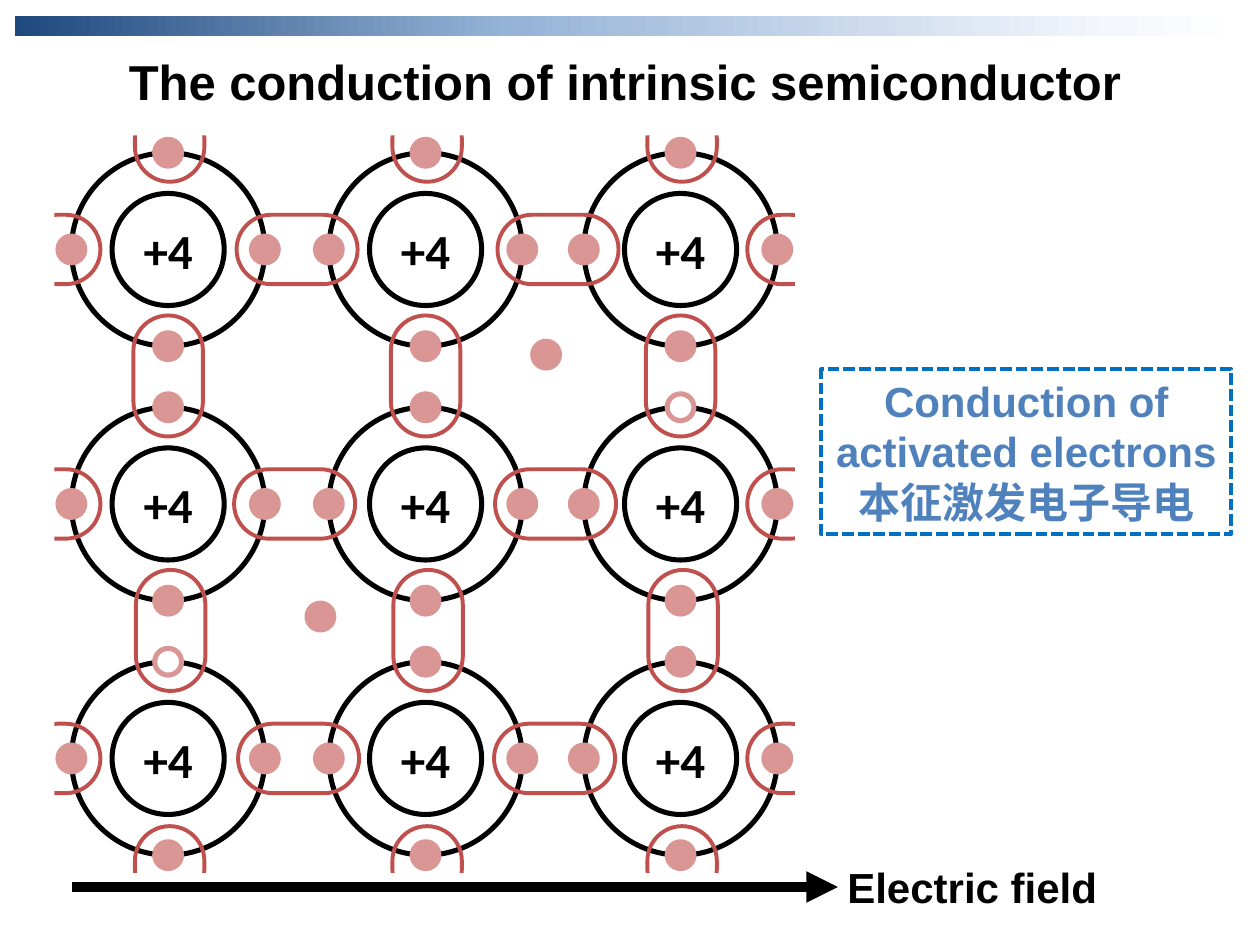
import copy
import dataclasses
import itertools

import lxml.etree
import pptx
import pptx.dml.color
import pptx.enum.dml
import pptx.enum.shapes
import pptx.enum.text
import pptx.oxml.ns
import pptx.util

Cm = pptx.util.Cm
Pt = pptx.util.Pt
Shape = pptx.enum.shapes.MSO_SHAPE


@dataclasses.dataclass(frozen=True)
class Theme:
    black: str = "000000"
    white: str = "FFFFFF"
    electron: str = "D99694"
    bond: str = "C0504D"
    note: str = "4F81BD"
    note_border: str = "0070C0"
    banner: tuple = ((0, "1F497D"), (0.4, "95B3D7"), (0.89, "F4F7FC"), (1, "FFFFFF"))
    text_font: str = "Arial"
    ion_font: str = "Calibri"
    large: int = 28
    medium: int = 24
    ring_line: float = 2.88
    bond_line: float = 2.25
    arrow_line: float = 6


class LatticeSlide:
    """Draws the elements of a crystal lattice slide, with all lengths in centimetres."""

    def __init__(self, slide, theme):
        self.slide = slide
        self.theme = theme

    def color(self, value):
        return pptx.dml.color.RGBColor.from_string(value)

    def shape(self, kind, center, size, fill=None, line=None, weight=0):
        (x, y), (width, height) = center, size
        shape = self.slide.shapes.add_shape(
            kind, Cm(x - width / 2), Cm(y - height / 2), Cm(width), Cm(height))
        shape.shadow.inherit = False
        if fill:
            shape.fill.solid()
            shape.fill.fore_color.rgb = self.color(fill)
        else:
            shape.fill.background()
        if line:
            shape.line.color.rgb = self.color(line)
            shape.line.width = Pt(weight)
        else:
            shape.line.fill.background()
        return shape

    def set_text(self, shape, lines, size, color, font=None, wrap=True,
                 anchor=pptx.enum.text.MSO_ANCHOR.TOP):
        frame = shape.text_frame
        frame.word_wrap = wrap
        frame.vertical_anchor = anchor
        frame.text = "\n".join(lines)
        for para in frame.paragraphs:
            para.alignment = pptx.enum.text.PP_ALIGN.CENTER
            para.font.name = font or self.theme.text_font
            para.font.size = Pt(size)
            para.font.bold = True
            para.font.color.rgb = self.color(color)

    def label(self, text, left, top, width, height, size):
        box = self.slide.shapes.add_textbox(Cm(left), Cm(top), Cm(width), Cm(height))
        self.set_text(box, [text], size, self.theme.black)

    def circle(self, center, diameter, fill=None, line=None):
        return self.shape(Shape.OVAL, center, (diameter, diameter), fill,
                          line or self.theme.black, self.theme.ring_line)

    def electron(self, center, hole=False):
        fill = self.theme.white if hole else self.theme.electron
        self.circle(center, 0.54, fill, self.theme.electron)

    def atom(self, center, hole_on_top=False):
        x, y = center
        orbit = 1.95
        self.circle(center, 2 * orbit)
        ion = self.circle(center, 2.26)
        self.set_text(ion, ["+4"], self.theme.large, self.theme.black, self.theme.ion_font,
                      wrap=False, anchor=pptx.enum.text.MSO_ANCHOR.MIDDLE)
        self.electron((x, y - orbit), hole_on_top)
        for across, down in ((-orbit, 0), (0, orbit), (orbit, 0)):
            self.electron((x + across, y + down))

    def bond(self, center, length=2.44, upright=False):
        capsule = self.shape(Shape.ROUNDED_RECTANGLE, center, (length, 1.4),
                             line=self.theme.bond, weight=self.theme.bond_line)
        capsule.adjustments[0] = 0.5
        capsule.rotation = 90 if upright else 0

    def cut_bond(self, center, cover_center, cover_size, upright=False):
        self.bond(center, 1.57, upright)
        self.shape(Shape.RECTANGLE, cover_center, cover_size, self.theme.white)

    def banner(self, center, size):
        bar = self.shape(Shape.RECTANGLE, center, size)
        bar.fill.gradient()
        bar.fill.gradient_angle = 0
        stops = next(bar.element.iter(pptx.oxml.ns.qn("a:gsLst")))
        for _ in range(len(self.theme.banner) - len(stops)):
            stops.append(copy.deepcopy(stops[0]))
        for stop, (position, color) in zip(bar.fill.gradient_stops, self.theme.banner):
            stop.position = position
            stop.color.rgb = self.color(color)

    def note(self, lines, center, size):
        box = self.shape(Shape.RECTANGLE, center, size,
                         line=self.theme.note_border, weight=self.theme.bond_line)
        box.line.dash_style = pptx.enum.dml.MSO_LINE.SQUARE_DOT
        self.set_text(box, lines, self.theme.medium, self.theme.note)

    def arrow(self, left, right, y):
        arrow = self.slide.shapes.add_connector(
            pptx.enum.shapes.MSO_CONNECTOR.STRAIGHT, Cm(left), Cm(y), Cm(right), Cm(y))
        arrow.line.color.rgb = self.color(self.theme.black)
        arrow.line.width = Pt(self.theme.arrow_line)
        qn = pptx.oxml.ns.qn
        outline = next(arrow.element.iter(qn("a:ln")))
        lxml.etree.SubElement(outline, qn("a:tailEnd"), type="triangle")
        lxml.etree.SubElement(arrow.element.spPr, qn("a:effectLst"))


def main():
    deck = pptx.Presentation()
    deck.slide_width, deck.slide_height = Cm(25.4), Cm(19.05)
    theme = Theme()
    page = LatticeSlide(deck.slides.add_slide(deck.slide_layouts[6]), theme)

    columns = (3.39, 8.58, 13.72)
    rows = (5.03, 10.16, 15.29)
    holes = {(columns[2], rows[1]), (columns[0], rows[2])}
    for y, x in itertools.product(rows, columns):
        page.atom((x, y), (x, y) in holes)
    for free_electron in ((11.01, 7.15), (6.46, 12.43)):
        page.electron(free_electron)

    for y, bonds in zip(rows, ((5.99, 11.25), (5.94, 11.2), (6.02, 11.18))):
        for x in bonds:
            page.bond((x, y))
    for y, shift in ((7.58, 0), (12.71, 0.05)):
        for x in columns:
            page.bond((x + shift, y), upright=True)
    for y in rows:
        page.cut_bond((1.24, y), (0.55, y), (1.1, 1.63))
        page.cut_bond((15.85, y), (16.73, y), (1.4, 1.63))
    for x in columns:
        page.cut_bond((x + 0.03, 2.88), (x + 0.03, 2.03), (1.63, 1.4), upright=True)
        page.cut_bond((x + 0.03, 17.44), (x + 0.03, 18.3), (1.63, 1.4), upright=True)

    page.label("The conduction of intrinsic semiconductor", 1.7, 0.91, 21.8, 1.45, theme.large)
    page.banner((12.7, 0.53), (24.8, 0.41))
    page.note(["Conduction of activated electrons", "本征激发电子导电"],
              (20.69, 9.11), (8.26, 3.33))
    page.arrow(1.45, 16.89, 17.88)
    page.label("Electric field", 15.47, 17.25, 8.26, 1.27, theme.medium)
    deck.save("out.pptx")


if __name__ == "__main__":
    main()
